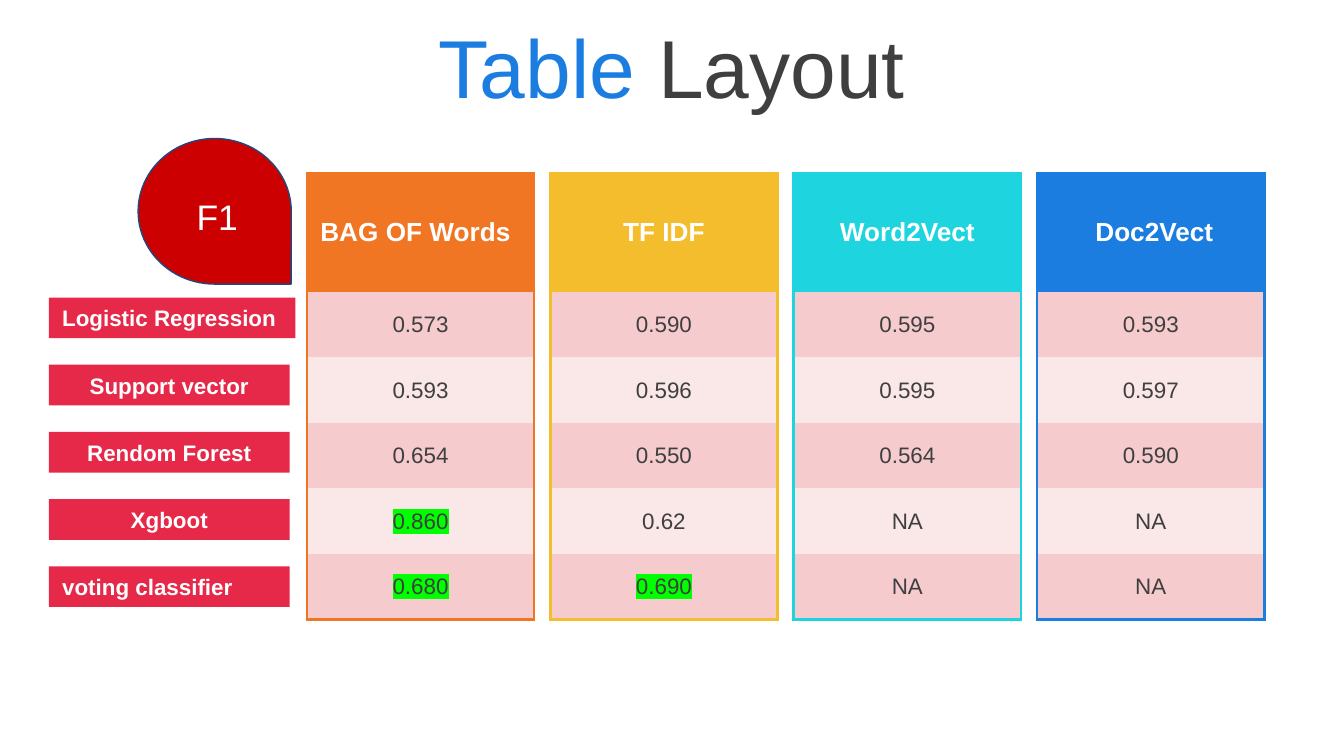
import pptx
import pptx.dml.color
import pptx.enum.shapes
import pptx.enum.text
import pptx.oxml
import pptx.oxml.ns
import pptx.util
from lxml import etree

Pt = pptx.util.Pt
PP_ALIGN = pptx.enum.text.PP_ALIGN
MIDDLE = pptx.enum.text.MSO_ANCHOR.MIDDLE
SHAPES = pptx.enum.shapes.MSO_SHAPE
qn = pptx.oxml.ns.qn

BODY = {"size": Pt(12), "bold": False, "name": "Arial"}
LABEL = {"size": Pt(12), "bold": True, "name": "Arial"}
HEADER = {"size": Pt(14), "bold": True, "name": "Arial"}
BADGE = {"size": Pt(19), "bold": False, "name": "Arial"}
TITLE = {"size": Pt(44), "bold": False, "name": "Arial"}
WHITE, DARK, RED, HIGHLIGHT = "FFFFFF", "3F3F3F", "E62949", "00FF00"
BANDS = ["F5CBCE", "FAE7E8"]
NO_STYLE = "{2D5ABB26-0587-4C30-8999-92F81FD0307C}"


def rgb(color):
    return pptx.dml.color.RGBColor.from_string(color)


def add_run(paragraph, text, font_format, color, alignment=PP_ALIGN.CENTER):
    paragraph.alignment = alignment
    run = paragraph.add_run()
    run.text = text
    for attribute, value in font_format.items():
        setattr(run.font, attribute, value)
    run.font.color.rgb = rgb(color)
    return run


presentation = pptx.Presentation()
presentation.slide_width, presentation.slide_height = Pt(720), Pt(405)
slide = presentation.slides.add_slide(presentation.slide_layouts[5])

# Title
title = slide.shapes.title
title.left, title.top, title.width, title.height = Pt(0), Pt(0), Pt(720), Pt(70)
title.text_frame.vertical_anchor = MIDDLE
title.text_frame.auto_size = pptx.enum.text.MSO_AUTO_SIZE.NONE
for text, color in [("Table", "1C7DE1"), (" Layout", DARK)]:
    add_run(title.text_frame.paragraphs[0], text, TITLE, color)

# One table per text representation; an asterisk marks a highlighted score
columns = [
    ("BAG OF Words", "F07624", ["0.573", "0.593", "0.654", "0.860*", "0.680*"]),
    ("TF IDF", "F4BD2D", ["0.590", "0.596", "0.550", "0.62", "0.690*"]),
    ("Word2Vect", "1ED4DE", ["0.595", "0.595", "0.564", "NA", "NA"]),
    (" Doc2Vect", "1C7DE1", ["0.593", "0.597", "0.590", "NA", "NA"]),
]
for index, (heading, accent, scores) in enumerate(columns):
    frame = slide.shapes.add_table(
        6, 1, Pt(164.4 + 130.4 * index), Pt(92.8), Pt(121.8), Pt(239.1))
    table = frame.table
    table.first_row = table.horz_banding = False
    table._tbl.tblPr.find(qn("a:tableStyleId")).text = NO_STYLE
    for row, text in enumerate([heading] + scores):
        is_header = row == 0
        table.rows[row].height = Pt(63.6 if is_header else 35.1)
        cell = table.cell(row, 0)
        cell.vertical_anchor = MIDDLE
        cell.fill.solid()
        cell.fill.fore_color.rgb = rgb(accent if is_header else BANDS[(row - 1) % 2])
        alignment = PP_ALIGN.LEFT if row + index == 0 else PP_ALIGN.CENTER
        run = add_run(cell.text_frame.paragraphs[0], text.rstrip("*"),
                      HEADER if is_header else BODY,
                      WHITE if is_header else DARK, alignment)
        if text.endswith("*"):
            highlight = etree.Element(qn("a:highlight"))
            etree.SubElement(highlight, qn("a:srgbClr"), val=HIGHLIGHT)
            run.font._element.find(qn("a:solidFill")).addnext(highlight)

        sides = ["L", "R"]
        if is_header:
            sides.append("T")
        if row == len(scores):
            sides.append("B")
        properties = cell._tc.get_or_add_tcPr()
        for position, side in enumerate(sides):
            line = etree.Element(qn("a:ln" + side), w=str(Pt(1.5)))
            fill = etree.SubElement(line, qn("a:solidFill"))
            etree.SubElement(fill, qn("a:srgbClr"), val=accent)
            properties.insert(position, line)

# Row labels
labels = [
    ("Logistic Regression", 132, PP_ALIGN.LEFT),
    ("Support vector", 129, PP_ALIGN.CENTER),
    ("Rendom Forest", 129, PP_ALIGN.CENTER),
    ("Xgboot", 129, PP_ALIGN.CENTER),
    ("voting classifier", 129, PP_ALIGN.LEFT),
]
for index, (text, width, alignment) in enumerate(labels):
    label = slide.shapes.add_shape(
        SHAPES.RECTANGLE, Pt(26.2), Pt(159.4 + 36 * index), Pt(width), Pt(21.8))
    label.shadow.inherit = False
    label.fill.solid()
    label.fill.fore_color.rgb = rgb(RED)
    label.line.fill.background()
    label.text_frame.word_wrap = True
    label.text_frame.vertical_anchor = MIDDLE
    add_run(label.text_frame.paragraphs[0], text, LABEL, WHITE, alignment)

# Metric badge
teardrop = slide.shapes.add_shape(
    SHAPES.TEAR, Pt(76), Pt(72.2), Pt(78), Pt(82))
teardrop.rotation = 90
teardrop.shadow.inherit = False
teardrop.fill.solid()
teardrop.fill.fore_color.rgb = rgb("CC0000")
teardrop.line.color.rgb = rgb("1F497D")
teardrop.line.width = Pt(0.75)

metric = slide.shapes.add_textbox(Pt(98.2), Pt(99.6), Pt(37.4), Pt(33.1))
metric_format = {"word_wrap": True, "vertical_anchor": MIDDLE,
                 "margin_left": Pt(7.2), "margin_right": Pt(7.2),
                 "margin_top": Pt(7.2), "margin_bottom": Pt(7.2)}
for attribute, value in metric_format.items():
    setattr(metric.text_frame, attribute, value)
add_run(metric.text_frame.paragraphs[0], "F1", BADGE, WHITE, PP_ALIGN.LEFT)

presentation.save("out.pptx")
